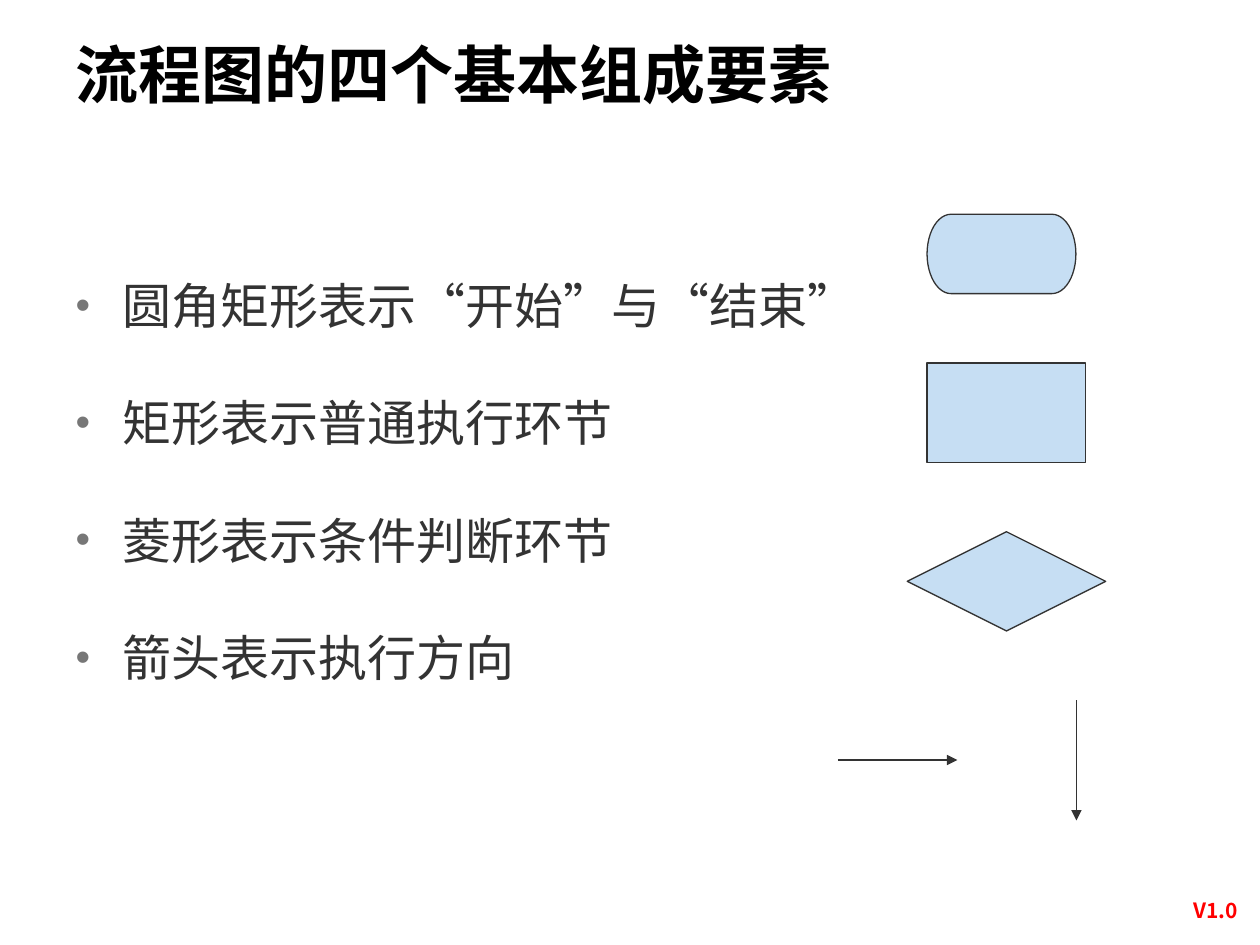
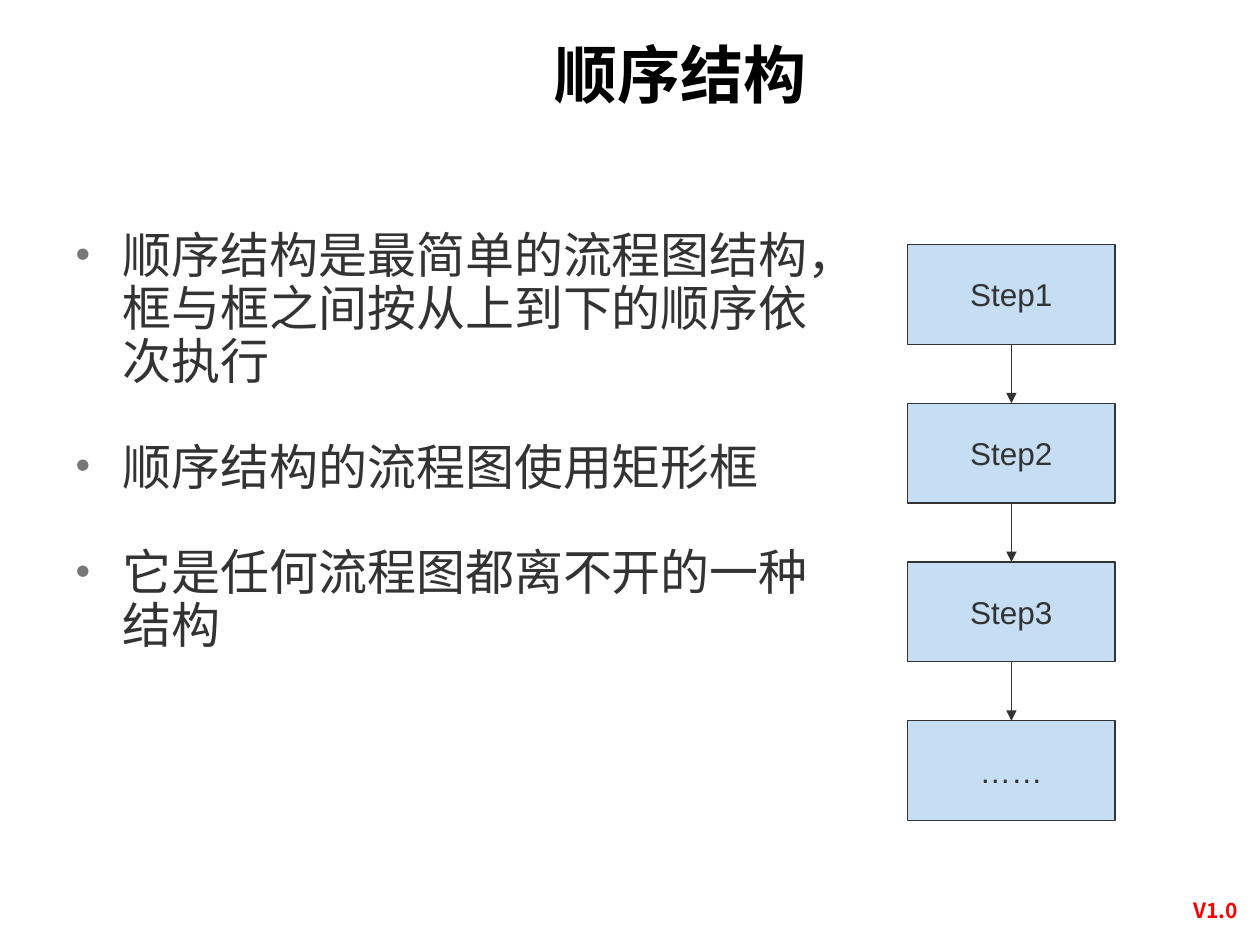
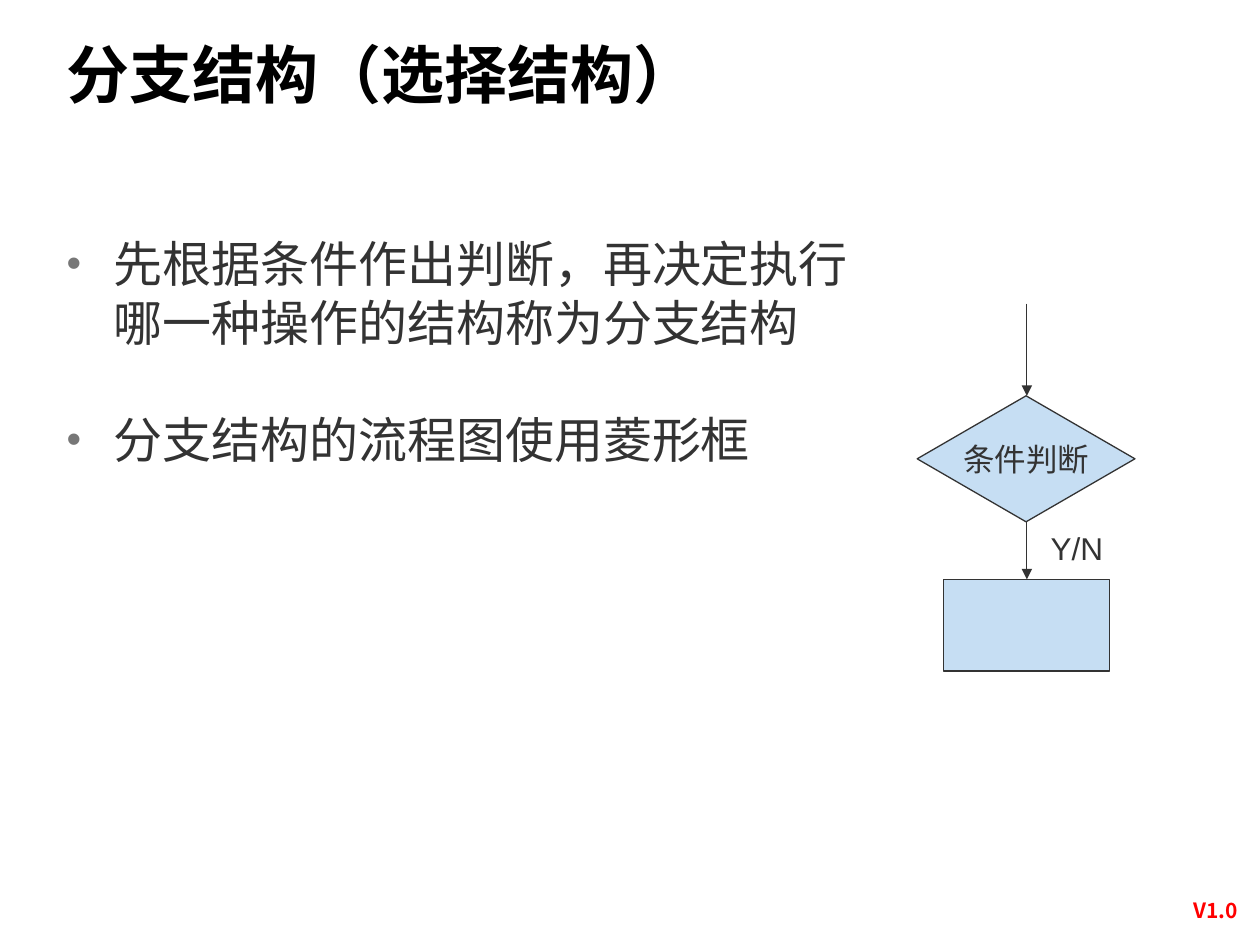
from lxml.etree import SubElement as Sub
from pptx import Presentation
from pptx.dml.color import RGBColor
from pptx.enum.shapes import MSO_CONNECTOR as Link, MSO_SHAPE as Kind
from pptx.enum.text import MSO_ANCHOR as Anchor, MSO_AUTO_SIZE as Fit, PP_ALIGN as Align
from pptx.oxml.ns import qn
from pptx.util import Cm, Pt

INK, SKY, GREY, RED, BLACK = "333333", "C6DEF3", "777777", "FF0000", "000000"
LATIN, HAN = "Arial", "Noto Sans CJK SC"

HEAD = {
    "frame": {"vertical_anchor": Anchor.MIDDLE, "auto_size": Fit.NONE, "word_wrap": True},
    "para": {"alignment": Align.LEFT},
    "font": {"size": Pt(36), "bold": True, "name": LATIN}, "ink": BLACK, "han": HAN,
}
LIST = {
    "frame": {"vertical_anchor": Anchor.TOP, "auto_size": Fit.NONE, "word_wrap": True,
              "margin_top": Cm(0.2)},
    "para": {"alignment": Align.LEFT},
    "font": {"size": Pt(28), "name": LATIN}, "ink": INK, "han": HAN,
}
NODE = {
    "frame": {"vertical_anchor": Anchor.MIDDLE, "word_wrap": False},
    "para": {"alignment": Align.CENTER},
    "font": {"size": Pt(18), "name": LATIN}, "ink": INK, "han": None,
}
NOTE = {**NODE, "frame": {"word_wrap": True}, "para": {"alignment": Align.LEFT}}
MARK = {
    "frame": {"word_wrap": True}, "para": {"alignment": Align.CENTER},
    "font": {"size": Pt(12), "bold": True, "name": HAN}, "ink": RED, "han": HAN,
}


def tint(part, code):
    part.rgb = RGBColor.from_string(code)


def write(frame, lines, look):
    for key, val in look["frame"].items():
        setattr(frame, key, val)
    for i, line in enumerate(lines):
        para = frame.paragraphs[0] if i == 0 else frame.add_paragraph()
        run = para.add_run()
        run.text = line
        for part in ("para", "font"):
            for key, val in look[part].items():
                setattr(para if part == "para" else run.font, key, val)
        tint(run.font.color, look["ink"])
        if look["han"]:
            Sub(run._r.get_or_add_rPr(), qn("a:ea"), typeface=look["han"])


TOP, TALL, STEP = 4.93, 2.01, 3.2
tops = [TOP + i * STEP for i in range(4)]
steps = ["Step1", "Step2", "Step3", "……"]

pages = [
    {
        "title": "流程图的四个基本组成要素", "head": (1.27, 0.76, 22.66, 1.42),
        "list": ["圆角矩形表示“开始”与“结束”", "矩形表示普通执行环节",
                 "菱形表示条件判断环节", "箭头表示执行方向"],
        "body": (1.27, 5.36, 22.86, 12.12), "pitch": 33.5,
        "nodes": [(Kind.FLOWCHART_TERMINATOR, "", (18.69, 4.32, 3, 1.6)),
                  (Kind.FLOWCHART_PROCESS, "", (18.69, 7.32, 3.2, 2)),
                  (Kind.FLOWCHART_DECISION, "", (18.29, 10.72, 4, 2))],
        "arrows": [(16.89, 15.32, 19.3, 15.32), (21.7, 14.12, 21.7, 16.54)],
        "notes": [],
    },
    {
        "title": "顺序结构", "head": (10.92, 0.76, 13.03, 1.42),
        "list": ["顺序结构是最简单的流程图结构，框与框之间按从上到下的顺序依次执行",
                 "顺序结构的流程图使用矩形框", "它是任何流程图都离不开的一种结构"],
        "body": (1.27, 4.45, 16.03, 12.57), "pitch": 30.2,
        "nodes": [(Kind.FLOWCHART_PROCESS, step, (18.29, top, 4.19, TALL))
                  for step, top in zip(steps, tops)],
        "arrows": [(20.39, top + TALL, 20.39, top + STEP) for top in tops[:-1]],
        "notes": [],
    },
    {
        "title": "分支结构（选择结构）", "head": (1.09, 0.76, 22.83, 1.42),
        "list": ["先根据条件作出判断，再决定执行哪一种操作的结构称为分支结构",
                 "分支结构的流程图使用菱形框"],
        "body": (1.09, 4.52, 16.41, 12.57), "pitch": 33.5,
        "nodes": [(Kind.FLOWCHART_DECISION, "条件判断", (18.49, 7.98, 4.39, 2.54)),
                  (Kind.FLOWCHART_PROCESS, "", (19.02, 11.68, 3.35, 1.85))],
        "arrows": [(20.7, 6.12, 20.7, 7.98), (20.7, 10.52, 20.7, 11.68)],
        "notes": [("Y/N", (20.93, 10.54, 1.96, 1.02), NOTE)],
    },
]
stamp = ("V1.0", (23.5, 17.96, 2.01, 0.76), MARK)

deck = Presentation()
deck.slide_width, deck.slide_height = Cm(25.4), Cm(19.05)

for page in pages:
    slide = deck.slides.add_slide(deck.slide_layouts[1])
    title, body = slide.shapes.title, slide.placeholders[1]
    for shape, box in ((title, page["head"]), (body, page["body"])):
        shape.left, shape.top, shape.width, shape.height = map(Cm, box)
    write(title.text_frame, [page["title"]], HEAD)
    write(body.text_frame, page["list"], LIST)

    for i, para in enumerate(body.text_frame.paragraphs):
        para.line_spacing = Pt(page["pitch"])
        para.space_before = Pt(page["pitch"] if i else 0)
        props = para._p.get_or_add_pPr()
        props.set("marL", str(Cm(0.95)))
        props.set("indent", str(-Cm(0.95)))
        Sub(Sub(props, qn("a:buClr")), qn("a:srgbClr"), val=GREY)
        Sub(props, qn("a:buSzPct"), val="85000")
        Sub(props, qn("a:buChar"), char="•")

    for kind, text, box in page["nodes"]:
        node = slide.shapes.add_shape(kind, *map(Cm, box))
        node.shadow.inherit = False
        node.fill.solid()
        tint(node.fill.fore_color, SKY)
        tint(node.line.color, INK)
        node.line.width = Pt(0.75)
        if text:
            write(node.text_frame, [text], NODE)

    for ends in page["arrows"]:
        arrow = slide.shapes.add_connector(Link.STRAIGHT, *map(Cm, ends))
        tint(arrow.line.color, INK)
        arrow.line.width = Pt(0.75)
        Sub(arrow.line._get_or_add_ln(), qn("a:tailEnd"), type="triangle")
        Sub(arrow._element.spPr, qn("a:effectLst"))

    for text, box, look in page["notes"] + [stamp]:
        note = slide.shapes.add_textbox(*map(Cm, box))
        write(note.text_frame, [text], look)

deck.save("out.pptx")
